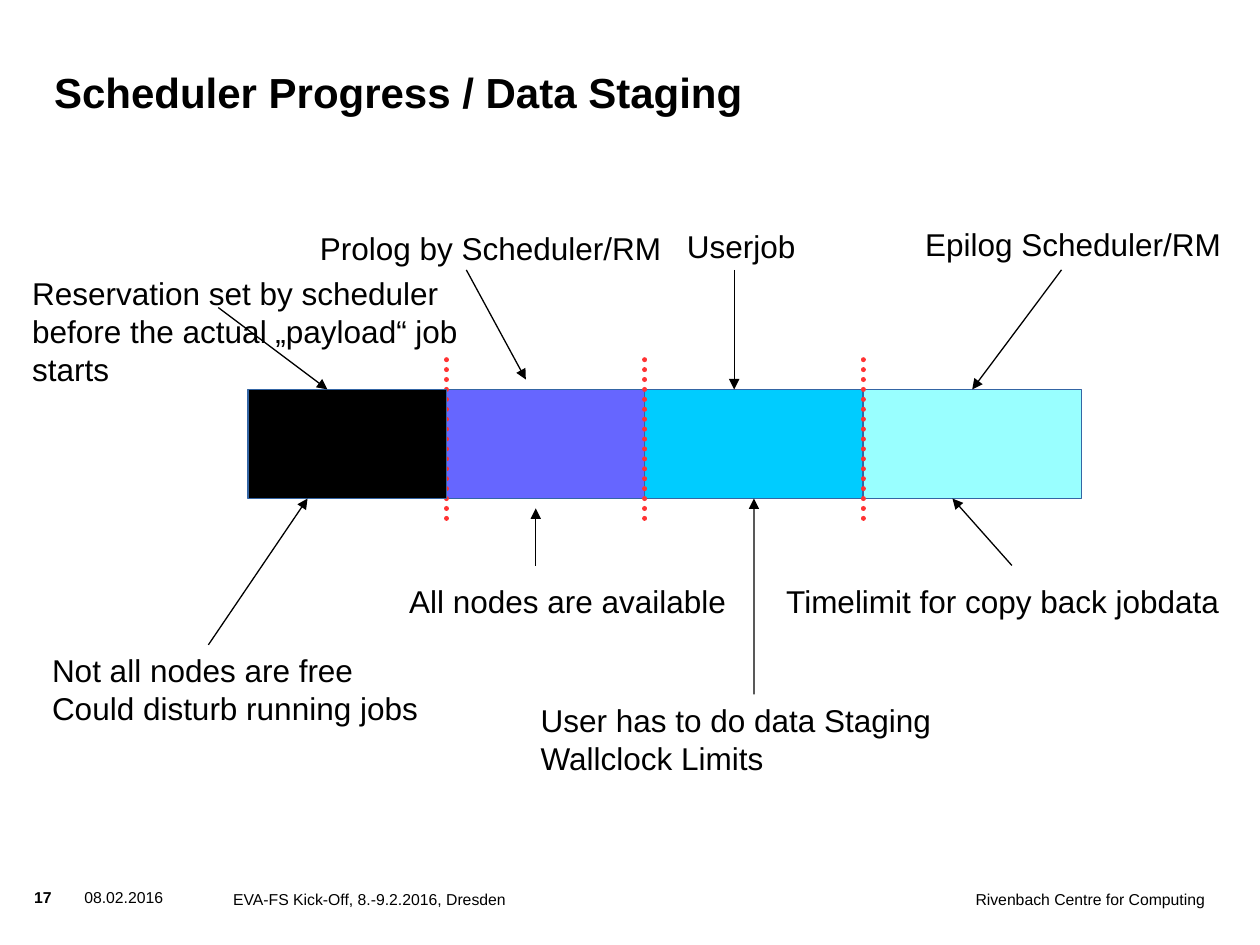
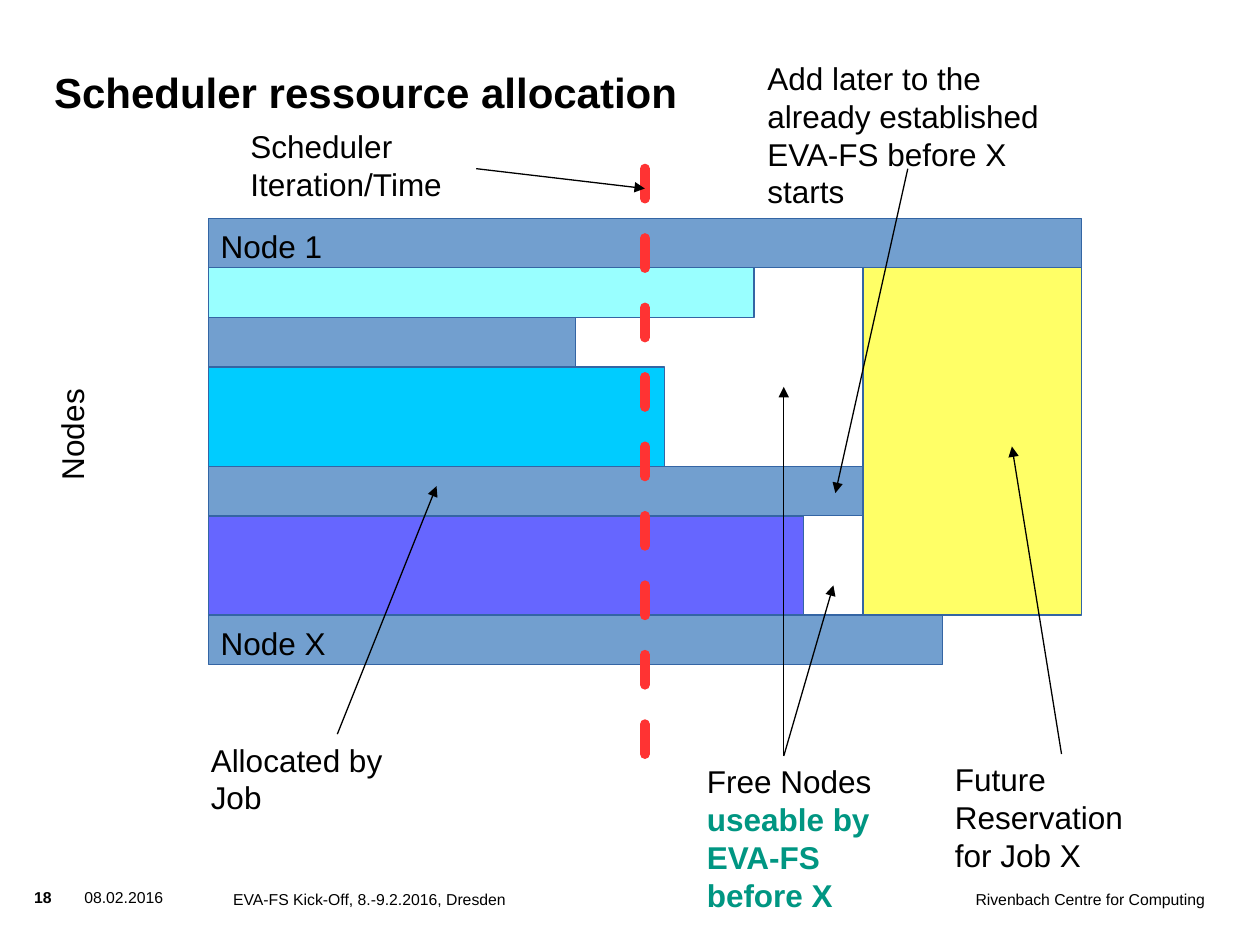
"""Build two slides on scheduler progress and node allocation."""
import pptx
import pptx.dml.color
import pptx.enum.dml
import pptx.enum.shapes
import pptx.enum.text
import pptx.oxml.ns
import pptx.util
from lxml import etree

Cm, Pt = pptx.util.Cm, pptx.util.Pt
Dash = pptx.enum.dml.MSO_LINE
Align = pptx.enum.text.PP_ALIGN
Anchor = pptx.enum.text.MSO_ANCHOR

BLACK, RED, GREEN, EDGE = "000000", "FF3333", "009682", "3465A4"
STEEL, AQUA, SKY = "729FCF", "99FFFF", "00CCFF"
VIOLET, YELLOW = "6666FF", "FFFF66"


def tint(code):
    return pptx.dml.color.RGBColor.from_string(code)


def child(node, tag, **attrs):
    return etree.SubElement(node, pptx.oxml.ns.qn(tag), **attrs)


class Deck:
    font = "Arial"
    body, head, small = 18, 24, 9

    def __init__(self):
        self.show = pptx.Presentation()
        self.show.slide_width, self.show.slide_height = Cm(25.4), Cm(19.05)
        self.slide = None

    def page(self, title, number):
        self.slide = self.show.slides.add_slide(self.show.slide_layouts[5])
        box = self.slide.shapes.title
        box.left, box.top, box.width, box.height = Cm(1.09), Cm(0.81), Cm(19.2), Cm(1.55)
        self.fill(box.text_frame, [title], self.head, bold=True, pad=(0, 0))
        box.text_frame.vertical_anchor = Anchor.BOTTOM
        self.foot(number, 0.69, 17.9, 0.9, bold=True)
        self.foot("08.02.2016", 1.7, 17.9, 2.4)
        self.foot("EVA-FS Kick-Off, 8.-9.2.2016, Dresden", 4.7, 17.94, 11.6)
        self.foot("Rivenbach Centre for Computing", 16.69, 17.94, 7.6, align=Align.RIGHT)

    def fill(self, frame, lines, size, bold=False, align=Align.LEFT, pad=(0.25, 0.13)):
        frame.word_wrap = True
        frame.auto_size = pptx.enum.text.MSO_AUTO_SIZE.NONE
        frame.margin_left = frame.margin_right = Cm(pad[0])
        frame.margin_top = frame.margin_bottom = Cm(pad[1])
        for i, line in enumerate(lines):
            para = frame.paragraphs[0] if i == 0 else frame.add_paragraph()
            para.alignment = align
            text, code, strong = line if isinstance(line, tuple) else (line, BLACK, bold)
            run = para.add_run()
            run.text = text
            run.font.name, run.font.size, run.font.bold = self.font, Pt(size), strong
            run.font.color.rgb = tint(code)

    def box(self, x, y, wide, high):
        return self.slide.shapes.add_textbox(Cm(x), Cm(y), Cm(wide), Cm(high))

    def foot(self, text, x, y, wide, **style):
        self.fill(self.box(x, y, wide, 0.6).text_frame, [text], self.small, pad=(0, 0), **style)

    def note(self, x, y, wide, *lines):
        self.fill(self.box(x, y, wide, 0.96 if len(lines) == 1 else 1.68).text_frame, lines, self.body)

    def side(self, text, x, y, wide, high):
        box = self.box(x, y, wide, high)
        box.rotation = 270
        self.fill(box.text_frame, [text], self.body, pad=(0.13, 0.25))

    def bar(self, x, y, wide, high, code):
        kind = pptx.enum.shapes.MSO_SHAPE.RECTANGLE
        shape = self.slide.shapes.add_shape(kind, Cm(x), Cm(y), Cm(wide), Cm(high))
        shape.shadow.inherit = False
        shape.fill.solid()
        shape.fill.fore_color.rgb = tint(code)
        shape.line.color.rgb, shape.line.width = tint(EDGE), Pt(0.75)
        return shape

    def line(self, start, end, code, width):
        kind = pptx.enum.shapes.MSO_CONNECTOR.STRAIGHT
        link = self.slide.shapes.add_connector(kind, *map(Cm, start + end))
        link.line.color.rgb, link.line.width = tint(code), Pt(width)
        child(link._element.spPr, "a:effectLst")
        return link

    def arrow(self, start, end, goal=None, spot=0):
        link = self.line(start, end, BLACK, 0.75)
        child(link.line._get_or_add_ln(), "a:tailEnd", type="triangle")
        if goal is not None:
            link.end_connect(goal, spot)

    def mark(self, x, top, base, width, dash):
        link = self.line((x, top), (x, base), RED, width)
        link.line.dash_style = dash
        link.line._get_or_add_ln().set("cap", "rnd")


def stage(deck):
    deck.page("Scheduler Progress / Data Staging", "17")
    top, high = 7.85, 2.2
    base = top + high
    edges = [5, 9, 13, 17.4, 21.8]

    def phase(i, code):
        return deck.bar(edges[i], top, edges[i + 1] - edges[i], high, code)

    def split(i):
        deck.mark(edges[i], top - 0.6, base + 0.4, 2.83, Dash.ROUND_DOT)

    last, job = phase(3, AQUA), phase(2, SKY)
    phase(1, VIOLET)
    split(3)
    split(1)
    phase(0, BLACK)
    split(2)

    deck.arrow((9.4, 5.44), (10.6, 7.65))
    deck.arrow((14.8, 5.44), (14.8, top))
    deck.arrow((21.4, 5.44), (19.6, top), last, 0)
    deck.arrow((4.4, 6.2), (6.6, top))
    deck.arrow((10.8, 11.4), (10.8, 10.25))
    deck.arrow((15.2, 14), (15.2, base), job, 2)
    deck.arrow((20.4, 11.4), (19.2, base))
    deck.arrow((4.2, 13), (6.2, base))

    deck.note(13.6, 4.45, 3.1, "Userjob")
    deck.note(6.2, 4.48, 7.6, "Prolog by Scheduler/RM")
    deck.note(18.4, 4.4, 6.7, "Epilog Scheduler/RM")
    deck.note(0.4, 5.4, 9.37, "Reservation set by scheduler",
              "before the actual „payload“ job starts")
    deck.note(8, 11.6, 7.2, "All nodes are available")
    deck.note(15.6, 11.6, 9.52, "Timelimit for copy back jobdata")
    deck.note(0.8, 13, 7.95, "Not all nodes are free", "Could disturb running jobs")
    deck.note(10.65, 14, 8.97, "User has to do data Staging", "Wallclock Limits")


def nodes(deck):
    deck.page("Scheduler ressource allocation", "18")
    left, top = 4.2, 4.4
    rows = [(17.6, 1, STEEL), (11, 1, AQUA), (7.4, 1, STEEL), (9.2, 2, SKY),
            (13.2, 1, STEEL), (12, 2, VIOLET), (14.8, 1, STEEL)]
    y = top
    for wide, high, code in rows:
        deck.bar(left, y, wide, high, code)
        y += high
    deck.bar(17.4, top + 1, 4.4, 7, YELLOW)

    deck.side("Nodes", 0.48, 7.8, 2.34, 1.68)
    deck.note(left, 4.45, 2.8, "Node 1")
    deck.note(left, 12.45, 2.9, "Node X")
    deck.mark(13, 3.4, 15.2, 5.67, Dash.DASH)

    deck.arrow((6.8, 14.8), (8.8, 9.8))
    deck.arrow((21.4, 15.2), (20.4, 9))
    for end in [(16.8, 11.8), (15.8, 7.8)]:
        deck.arrow((15.8, 15.24), end)
    deck.arrow((9.6, 3.4), (13, 3.8))
    deck.arrow((18.3, 3.4), (16.84, 9.94))

    deck.note(4, 14.8, 5, "Allocated by Job")
    deck.note(19, 15.2, 5.7, "Future Reservation", "for Job X")
    deck.note(14, 15.24, 4.1, "Free Nodes", ("useable by EVA-FS before X", GREEN, True))
    deck.note(4.8, 2.44, 7.2, "Scheduler Iteration/Time")
    deck.note(15.22, 1.06, 6.17, "Add later to the already established EVA-FS before X starts")


def main():
    deck = Deck()
    stage(deck)
    nodes(deck)
    deck.show.save("out.pptx")


if __name__ == "__main__":
    main()
